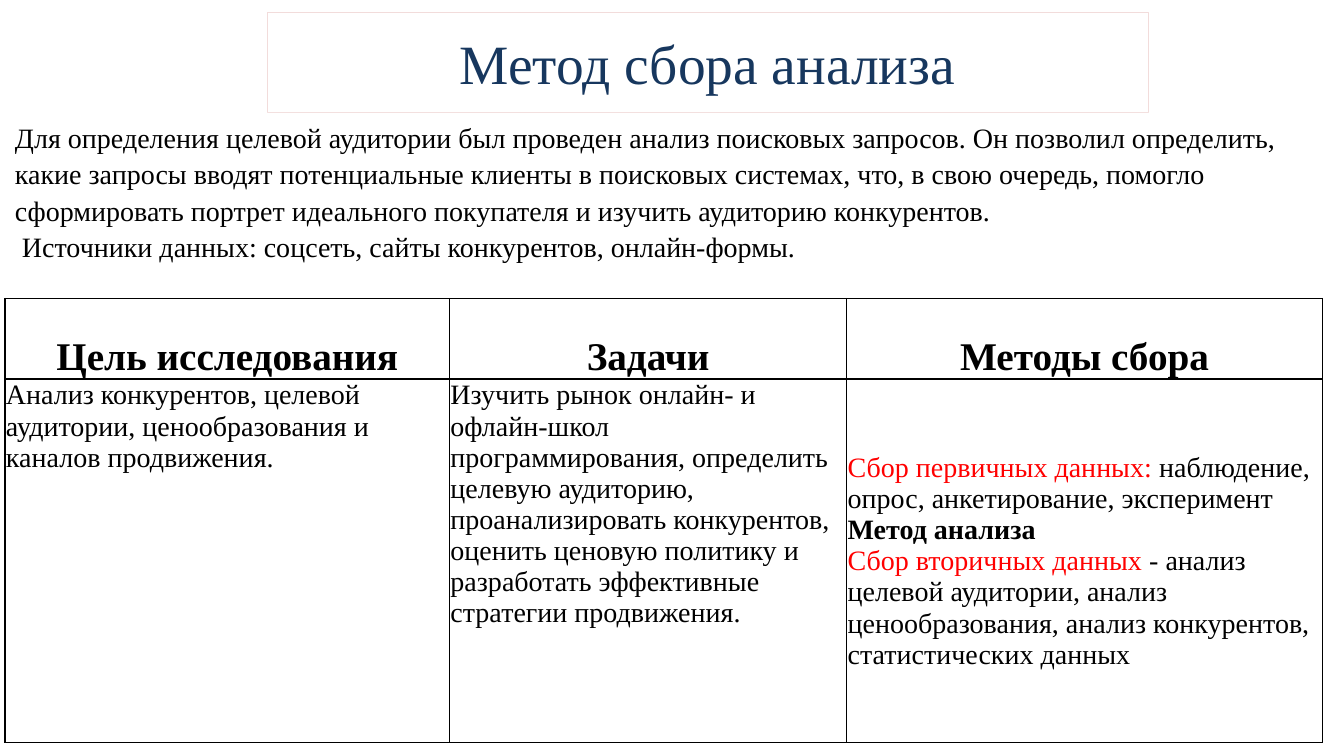
from lxml.etree import SubElement
from pptx import Presentation
from pptx.dml.color import RGBColor
from pptx.enum.text import MSO_ANCHOR, MSO_AUTO_SIZE, PP_ALIGN
from pptx.oxml.ns import qn
from pptx.util import Pt

FONT = "Times New Roman"
COLORS = {"white": "FFFFFF", "black": "000000", "title": "17375E", "frame": "F2DCDB", "accent": "FF0000"}

INTRO = [
    "Для определения целевой аудитории был проведен анализ поисковых запросов. Он позволил определить, "
    "какие запросы вводят потенциальные клиенты в поисковых системах, что, в свою очередь, помогло "
    "сформировать портрет идеального покупателя и изучить аудиторию конкурентов.",
    " Источники данных: соцсеть, сайты конкурентов, онлайн-формы.",
]
COLUMN_WIDTHS = [317.5, 283.7, 339.8]
ROW_HEIGHTS = [57.6, 259.9]
HEADINGS = ["Цель исследования", "Задачи", "Методы сбора"]
GOAL = [[("Анализ конкурентов, целевой аудитории, ценообразования и каналов продвижения.", "black", False)]]
TASKS = [[(
    "Изучить рынок онлайн- и офлайн-школ программирования, определить целевую аудиторию, "
    "проанализировать конкурентов, оценить ценовую политику и разработать эффективные "
    "стратегии продвижения.", "black", False)]]
METHODS = [
    [("Сбор первичных данных:", "accent", False),
     (" наблюдение, опрос, анкетирование, эксперимент", "black", False)],
    [("Метод анализа", "black", True)],
    [("Сбор вторичных данных ", "accent", False),
     ("- анализ целевой аудитории, анализ ценообразования, анализ конкурентов, "
      "статистических данных", "black", False)],
]


def color(name):
    return RGBColor.from_string(COLORS[name])


def format_run(run, size, color_name="black", bold=False):
    run.font.name = FONT
    run.font.size = Pt(size)
    run.font.bold = bold
    run.font.color.rgb = color(color_name)


def add_title(slide, left, top, width, height):
    title = slide.shapes.title
    title.left, title.top, title.width, title.height = Pt(left), Pt(top), Pt(width), Pt(height)
    title.fill.solid()
    title.fill.fore_color.rgb = color("white")
    title.line.color.rgb = color("frame")
    title.line.width = Pt(0.75)
    text_frame = title.text_frame
    text_frame.text = "Метод сбора анализа"
    text_frame.auto_size = MSO_AUTO_SIZE.NONE
    text_frame.vertical_anchor = MSO_ANCHOR.MIDDLE
    paragraph = text_frame.paragraphs[0]
    paragraph.alignment = PP_ALIGN.CENTER
    format_run(paragraph.runs[0], 39.6, "title")


def add_intro(slide, left, top, width, height):
    box = slide.shapes.add_textbox(Pt(left), Pt(top), Pt(width), Pt(height))
    box.fill.solid()
    box.fill.fore_color.rgb = color("white")
    text_frame = box.text_frame
    text_frame.word_wrap = True
    text_frame.text = "\n".join(INTRO)
    for paragraph in text_frame.paragraphs:
        paragraph.line_spacing = 1.08
        format_run(paragraph.runs[0], 20)


def add_borders(cell):
    properties = cell._tc.get_or_add_tcPr()
    for position, side in enumerate(["a:lnL", "a:lnR", "a:lnT", "a:lnB"]):
        line = SubElement(properties, qn(side), w=str(Pt(1)))
        fill = SubElement(line, qn("a:solidFill"))
        SubElement(fill, qn("a:srgbClr"), val=COLORS["black"])
        properties.insert(position, line)


def fill_cell(cell, paragraphs, size, anchor, alignment):
    cell.fill.solid()
    cell.fill.fore_color.rgb = color("white")
    cell.margin_left = cell.margin_right = cell.margin_top = Pt(0.7)
    cell.margin_bottom = Pt(0)
    cell.vertical_anchor = anchor
    add_borders(cell)
    for index, parts in enumerate(paragraphs):
        paragraph = cell.text_frame.paragraphs[0] if index == 0 else cell.text_frame.add_paragraph()
        paragraph.alignment = alignment
        for text, color_name, bold in parts:
            run = paragraph.add_run()
            run.text = text
            format_run(run, size, color_name, bold)


def add_methods_table(slide, left, top):
    table = slide.shapes.add_table(
        len(ROW_HEIGHTS), len(COLUMN_WIDTHS),
        Pt(left), Pt(top), Pt(sum(COLUMN_WIDTHS)), Pt(sum(ROW_HEIGHTS))).table
    for column, width in zip(table.columns, COLUMN_WIDTHS):
        column.width = Pt(width)
    for row, height in zip(table.rows, ROW_HEIGHTS):
        row.height = Pt(height)
    for index, heading in enumerate(HEADINGS):
        fill_cell(table.cell(0, index), [[(heading, "black", True)]], 28, MSO_ANCHOR.BOTTOM, PP_ALIGN.CENTER)
    anchors = [MSO_ANCHOR.TOP, MSO_ANCHOR.TOP, MSO_ANCHOR.MIDDLE]
    for index, (content, anchor) in enumerate(zip([GOAL, TASKS, METHODS], anchors)):
        fill_cell(table.cell(1, index), content, 20, anchor, PP_ALIGN.LEFT)


def main():
    presentation = Presentation()
    presentation.slide_width, presentation.slide_height = Pt(960), Pt(540)
    slide = presentation.slides.add_slide(presentation.slide_layouts[5])
    add_title(slide, 190.8, 9.2, 629.3, 71.3)
    add_methods_table(slide, 3.6, 213.1)
    add_intro(slide, 3.6, 80.6, 941, 104.4)
    presentation.save("out.pptx")


if __name__ == "__main__":
    main()
